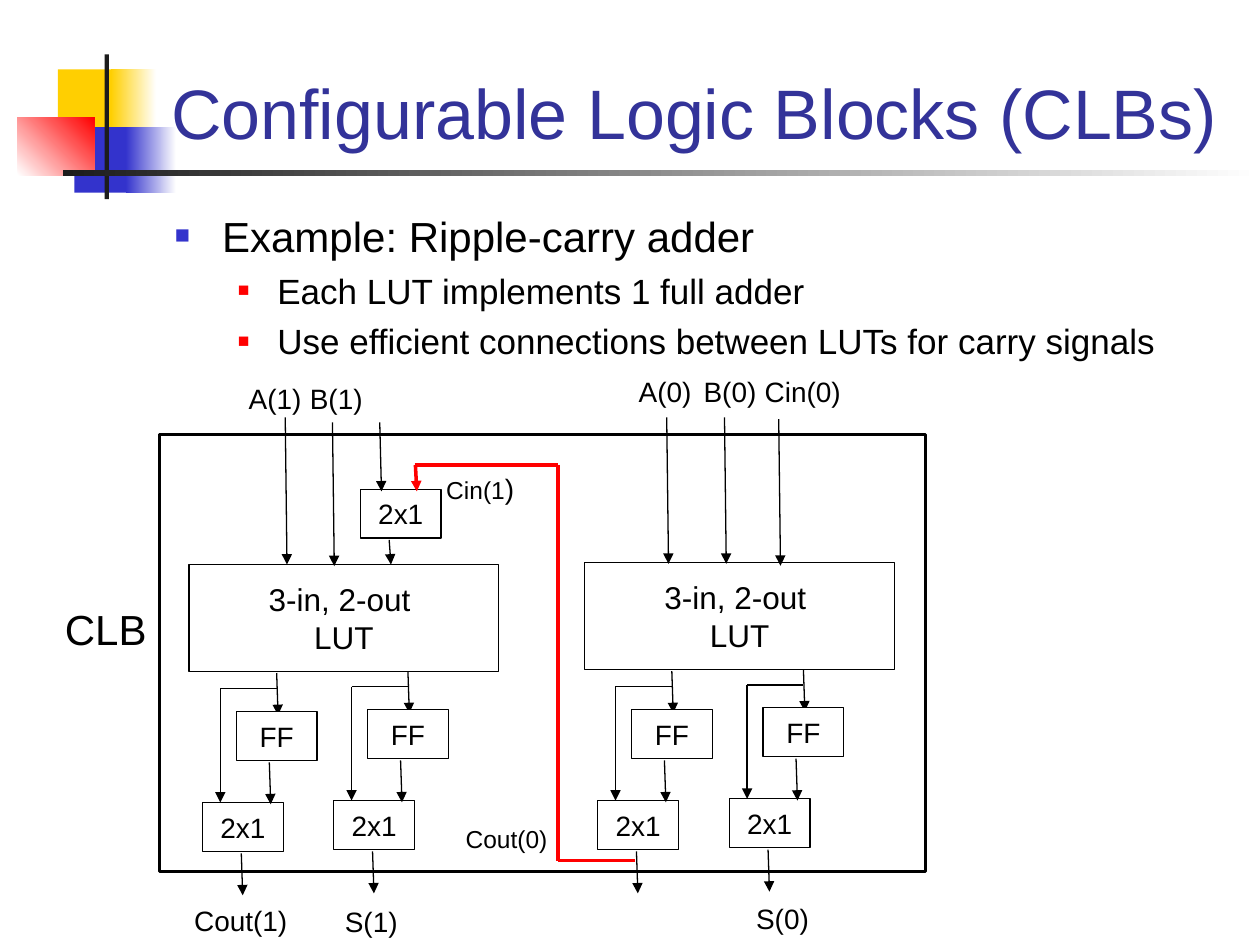
import pptx
import pptx.util
import pptx.dml.color
import pptx.enum.shapes
import pptx.enum.text
import pptx.oxml
import pptx.oxml.ns

COLORS = {
    "black": "000000", "white": "FFFFFF", "ink": "1C1C1C", "title": "333399",
    "blue": "3333CC", "red": "FF0000", "gold": "FFCF01",
}
FONT = "Arial"
RECT = pptx.enum.shapes.MSO_SHAPE.RECTANGLE
LINE = pptx.enum.shapes.MSO_CONNECTOR.STRAIGHT
ALIGN = pptx.enum.text.PP_ALIGN
ANCHOR = pptx.enum.text.MSO_ANCHOR
FIT = pptx.enum.text.MSO_AUTO_SIZE
Pt = pptx.util.Pt
BOX_W, BOX_H = 46.1, 27.9


def paint(name):
    return pptx.dml.color.RGBColor.from_string(COLORS[name])


def add_node(parent, tag, **attrs):
    node = pptx.oxml.parse_xml(f"<a:{tag} {pptx.oxml.ns.nsdecls('a')}/>")
    for key, value in attrs.items():
        node.set(key, value)
    parent.append(node)
    return node


def add_run(para, text, size, color="black"):
    run = para.add_run()
    run.text = text
    run.font.name = FONT
    run.font.size = Pt(size)
    run.font.color.rgb = paint(color)


def add_rect(slide, x, y, w, h, fill=None, line=None, angle=0):
    shape = slide.shapes.add_shape(RECT, Pt(x), Pt(y), Pt(w), Pt(h))
    shape.shadow.inherit = False
    if fill is None:
        shape.fill.background()
    elif isinstance(fill, tuple):
        shape.fill.gradient()
        shape.fill.gradient_angle = angle
        for stop, name in zip(shape.fill.gradient_stops, fill):
            stop.color.rgb = paint(name)
    else:
        shape.fill.solid()
        shape.fill.fore_color.rgb = paint(fill)
    if line is None:
        shape.line.fill.background()
    else:
        shape.line.color.rgb = paint("black")
        shape.line.width = Pt(line)
    return shape


def add_block(slide, x, y, w, h, lines, size, fill=None):
    frame = add_rect(slide, x, y, w, h, fill, 0.75).text_frame
    frame.word_wrap = False
    frame.vertical_anchor = ANCHOR.MIDDLE
    for i, text in enumerate(lines):
        para = frame.add_paragraph() if i else frame.paragraphs[0]
        para.alignment = ALIGN.CENTER
        add_run(para, text, size)


def add_small(slide, x, y, text):
    add_block(slide, x, y, BOX_W, BOX_H, [text], 16, "white")


def add_line(slide, x1, y1, x2, y2, head=True, color="black", width=0.75):
    line = slide.shapes.add_connector(LINE, Pt(x1), Pt(y1), Pt(x2), Pt(y2))
    line.line.color.rgb = paint(color)
    line.line.width = Pt(width)
    if head:
        add_node(line.line._get_or_add_ln(), "tailEnd", type="triangle")
    add_node(line._element.spPr, "effectLst")


def add_frame(slide, x, y, w, h):
    frame = slide.shapes.add_textbox(Pt(x), Pt(y), Pt(w), Pt(h)).text_frame
    frame.word_wrap = True
    return frame


def add_label(slide, x, y, w, h, *runs):
    frame = add_frame(slide, x, y, w, h)
    frame.auto_size = FIT.SHAPE_TO_FIT_TEXT
    for text, size in runs:
        add_run(frame.paragraphs[0], text, size)


def add_art(slide):
    add_rect(slide, 33.1, 39.6, 34.6, 37.4, "gold")
    add_rect(slide, 63.4, 39.6, 25.9, 37.4, ("gold", "white"))
    add_rect(slide, 42.5, 72.7, 33.1, 37.4, "blue")
    add_rect(slide, 72, 72.7, 28.8, 37.4, ("blue", "white"))
    add_rect(slide, 10.1, 67, 43.9, 33.1, ("white", "red"), angle=45)
    add_rect(slide, 59.8, 31, 2.4, 82.8, "ink")
    add_rect(slide, 36, 97.2, 684, 3.3, ("ink", "white"))


def add_title(slide):
    frame = add_frame(slide, 90.7, 1.4, 613.4, 90)
    frame.vertical_anchor = ANCHOR.BOTTOM
    add_run(frame.paragraphs[0], "Configurable Logic Blocks (CLBs)", 40, "title")


def add_body(slide):
    frame = add_frame(slide, 92.9, 116.5, 612, 366)
    rows = [
        ("Example: Ripple-carry adder", 24, 0, 27, 27, "blue", 60, 0),
        ("Each LUT implements 1 full adder", 20, 1, 58.5, 22.5, "red", 55, 5),
        ("Use efficient connections between LUTs for carry signals",
         20, 1, 58.5, 22.5, "red", 55, 5),
    ]
    for i, (text, size, level, left, hang, color, scale, gap) in enumerate(rows):
        para = frame.add_paragraph() if i else frame.paragraphs[0]
        para.level = level
        para.space_before = Pt(gap)
        props = para._p.get_or_add_pPr()
        props.set("marL", str(Pt(left)))
        props.set("indent", str(-Pt(hang)))
        add_node(add_node(props, "buClr"), "srgbClr", val=COLORS[color])
        add_node(props, "buSzPct", val=str(scale * 1000))
        add_node(props, "buFont", typeface=FONT)
        add_node(props, "buChar", char="■")
        add_run(para, text, size)


def add_lut(slide, x, y):
    add_block(slide, x, y, 177.1, 61.2, ["3-in, 2-out ", "LUT"], 18)


def add_stage(slide, x, y):
    add_line(slide, x + 23, y - 22, x + 23.8, y + 2)
    add_small(slide, x, y, "FF")
    add_small(slide, x - 19.3, y + 52, "2x1")
    add_line(slide, x - 9.2, y - 13, x - 9.2, y + 52)
    add_line(slide, x + 18.8, y + 29, x + 19.6, y + 53)
    add_line(slide, x - 9.2, y - 13, x + 23, y - 13, head=False)
    add_line(slide, x + 2.8, y + 81, x + 3.6, y + 105)


def add_carry(slide):
    for ends in ((363, 491.8, 319, 491.8), (237, 265.7, 319, 265.7),
                 (319, 265.7, 319, 491.8)):
        add_line(slide, *ends, head=False, color="red", width=2)
    add_line(slide, 237.4, 265.7, 238.2, 280.8, color="red", width=2)


def main():
    deck = pptx.Presentation()
    deck.slide_width, deck.slide_height = Pt(720), Pt(540)
    slide = deck.slides.add_slide(deck.slide_layouts[6])
    add_art(slide)
    add_title(slide)
    add_body(slide)
    add_lut(slide, 334.1, 321.5)
    add_lut(slide, 108, 322.6)
    for x, y in ((436.1, 404.5), (360.9, 405.5), (210.1, 405.5), (135.1, 406.6)):
        add_stage(slide, x, y)
    add_small(slide, 206, 279.6, "2x1")
    for x, top, end in ((163, 238.5, 322.6), (190, 241.4, 323.5),
                        (217, 241.4, 280.8), (222.4, 308.5, 322.6),
                        (381, 238.5, 322.2), (414, 238.5, 322.2),
                        (445, 239.5, 323.3)):
        add_line(slide, x, top, x + 1, end)
    add_carry(slide)
    add_rect(slide, 90.9, 248.3, 438, 250, line=1.75)
    add_label(slide, 30, 341.5, 82.8, 36, ("CLB", 24))
    for text, x, y, w in (("A(0)", 357.9, 210.5, 49.7), ("B(0)", 395, 210.5, 49.7),
                          ("Cin(0)", 429.9, 210.5, 66.2), ("S(0)", 425, 511.5, 49.7),
                          ("A(1)", 135, 214.5, 49.7), ("B(1)", 170, 214.5, 49.7),
                          ("S(1)", 190, 513.5, 49.7), ("Cout(1)", 103.9, 512.6, 77)):
        add_label(slide, x, y, w, 26.6, (text, 16))
    add_label(slide, 247.9, 265.7, 66.2, 26.6, ("Cin(1", 14), (")", 16))
    add_label(slide, 259, 467.5, 77, 24.5, ("Cout(0)", 14))
    deck.save("out.pptx")


if __name__ == "__main__":
    main()
